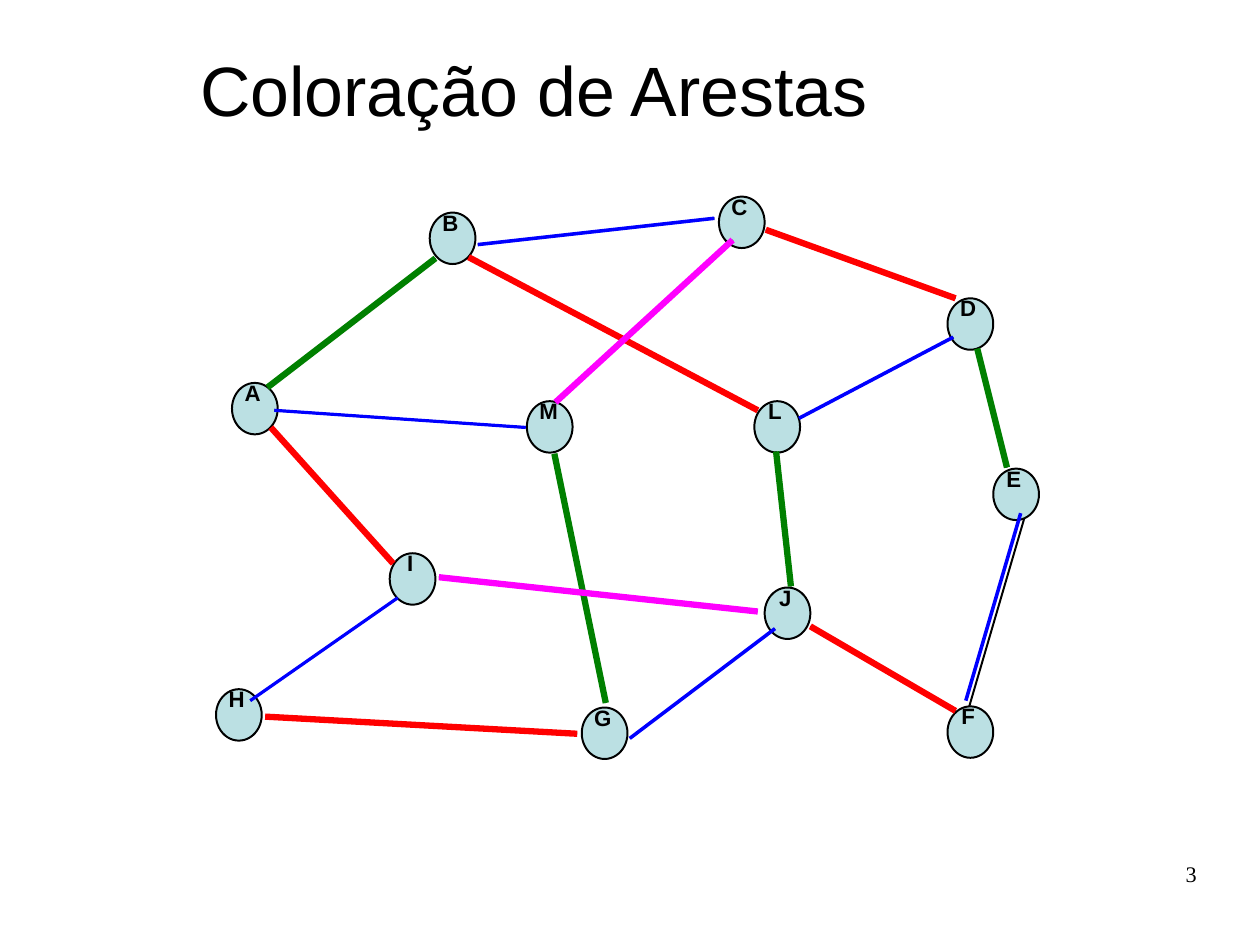
from dataclasses import dataclass

import pptx
import pptx.dml.color
import pptx.enum.shapes
import pptx.enum.text
import pptx.oxml
import pptx.oxml.ns
import pptx.util

Inches = pptx.util.Inches
Pt = pptx.util.Pt
Align = pptx.enum.text.PP_ALIGN
Anchor = pptx.enum.text.MSO_ANCHOR


@dataclass(frozen=True)
class Theme:
    ink: str = "000000"
    vertex: str = "BBE0E3"
    blue: str = "0000FF"
    red: str = "FF0000"
    green: str = "008000"
    magenta: str = "FF00FF"
    sans: str = "Arial"
    serif: str = "Times New Roman"
    title_size: float = 44
    small_size: float = 14
    outline: float = 1.25
    fine: float = 2
    medium: float = 2.25
    bold: float = 3.97


THEME = Theme()
CM_PER_INCH = 2.54
SLIDE_WIDTH, SLIDE_HEIGHT = 28 / CM_PER_INCH, 21 / CM_PER_INCH
VERTEX_WIDTH, VERTEX_HEIGHT = 0.4, 0.45
LABEL_WIDTH, LABEL_HEIGHT = 0.34, 0.31
LABEL_CENTER, LABEL_RISE = 0.18, 0.06

VERTICES = {
    "H": (1.89, 6.03), "A": (2.03, 3.35), "B": (3.76, 1.86), "J": (6.69, 5.14),
    "C": (6.29, 1.72), "E": (8.69, 4.1), "M": (4.61, 3.51), "L": (6.6, 3.51),
    "G": (5.09, 6.19), "D": (8.29, 2.61), "I": (3.41, 4.84), "F": (8.29, 6.18),
}

EDGES = {
    "HG": ((2.32, 6.27), (5.05, 6.42)),
    "MG": ((4.85, 3.97), (5.3, 6.15)),
    "AM": ((2.4, 3.59), (4.6, 3.74)),
    "IH": ((3.48, 5.23), (2.19, 6.13)),
    "AB": ((2.34, 3.39), (3.81, 2.26)),
    "BC": ((4.18, 2.14), (6.25, 1.91)),
    "BL": ((4.1, 2.25), (6.63, 3.59)),
    "LJ": ((6.79, 3.95), (6.92, 5.13)),
    "LD": ((6.99, 3.66), (8.34, 2.95)),
    "CD": ((6.7, 2.01), (8.36, 2.61)),
    "GJ": ((5.51, 6.46), (6.78, 5.5)),
    "JF": ((7.09, 5.48), (8.36, 6.22)),
    "EF": ((8.96, 4.54), (8.48, 6.18)),
    "DE": ((8.55, 3.05), (8.81, 4.09)),
    "IJ": ((3.84, 5.05), (6.63, 5.35)),
    "CM": ((6.41, 2.1), (4.86, 3.52)),
    "AI": ((2.37, 3.74), (3.44, 4.93)),
}

COLORING = [
    (THEME.blue, THEME.medium, ["LD", "GJ", "EF", "BC"]),
    (THEME.blue, THEME.fine, ["IH", "AM"]),
    (THEME.red, THEME.bold, ["CD", "BL", "JF", "HG", "AI"]),
    (THEME.green, THEME.bold, ["DE", "LJ", "MG", "AB"]),
    (THEME.magenta, THEME.bold, ["IJ", "CM"]),
]
COLOR_SHIFT = {"EF": (-0.03, -0.05)}


def rgb(value):
    return pptx.dml.color.RGBColor.from_string(value)


def add_text(slide, words, box, size, font, align=Align.LEFT, bold=False,
             spacing=1.0, anchor=Anchor.TOP, insets=(0, 0), wrap=True):
    frame = slide.shapes.add_textbox(*map(Inches, box)).text_frame
    frame.word_wrap = wrap
    frame.vertical_anchor = anchor
    frame.margin_left = frame.margin_right = Inches(insets[0])
    frame.margin_top = frame.margin_bottom = Inches(insets[1])
    paragraph = frame.paragraphs[0]
    paragraph.alignment = align
    paragraph.line_spacing = spacing
    run = paragraph.add_run()
    run.text = words
    run.font.size = Pt(size)
    run.font.name = font
    run.font.bold = bold
    run.font.color.rgb = rgb(THEME.ink)


def add_vertex(slide, letter, left, top):
    circle = slide.shapes.add_shape(
        pptx.enum.shapes.MSO_SHAPE.OVAL, Inches(left), Inches(top),
        Inches(VERTEX_WIDTH), Inches(VERTEX_HEIGHT))
    circle.shadow.inherit = False
    circle.fill.solid()
    circle.fill.fore_color.rgb = rgb(THEME.vertex)
    circle.line.color.rgb = rgb(THEME.ink)
    circle.line.width = Pt(THEME.outline)
    label_box = (left + LABEL_CENTER - LABEL_WIDTH / 2, top - LABEL_RISE,
                 LABEL_WIDTH, LABEL_HEIGHT)
    add_text(slide, letter, label_box, THEME.small_size, THEME.sans,
             align=Align.CENTER, bold=True, spacing=0.93,
             insets=(0.1, 0.05), wrap=False)


def add_edge(slide, ends, color, width, shift=(0, 0)):
    points = [Inches(place + move) for end in ends for place, move in zip(end, shift)]
    edge = slide.shapes.add_connector(
        pptx.enum.shapes.MSO_CONNECTOR.STRAIGHT, *points)
    edge.line.color.rgb = rgb(color)
    edge.line.width = Pt(width)
    properties = edge._element.spPr
    properties.append(pptx.oxml.parse_xml(
        f"<a:effectLst {pptx.oxml.ns.nsdecls('a')}/>"))


def main():
    deck = pptx.Presentation()
    deck.slide_width = Inches(SLIDE_WIDTH)
    deck.slide_height = Inches(SLIDE_HEIGHT)
    slide = deck.slides.add_slide(deck.slide_layouts[6])

    add_text(slide, "Coloração de Arestas", (1.75, 0.39, 7.81, 0.75),
             THEME.title_size, THEME.sans, spacing=1.02, anchor=Anchor.MIDDLE)
    for letter, (left, top) in VERTICES.items():
        add_vertex(slide, letter, left, top)
    for ends in EDGES.values():
        add_edge(slide, ends, THEME.ink, THEME.outline)
    for color, width, names in COLORING:
        for name in names:
            add_edge(slide, EDGES[name], color, width, COLOR_SHIFT.get(name, (0, 0)))
    add_text(slide, "3", (7.9, 7.53, 2.57, 0.57), THEME.small_size,
             THEME.serif, align=Align.RIGHT)

    deck.save("out.pptx")


if __name__ == "__main__":
    main()
